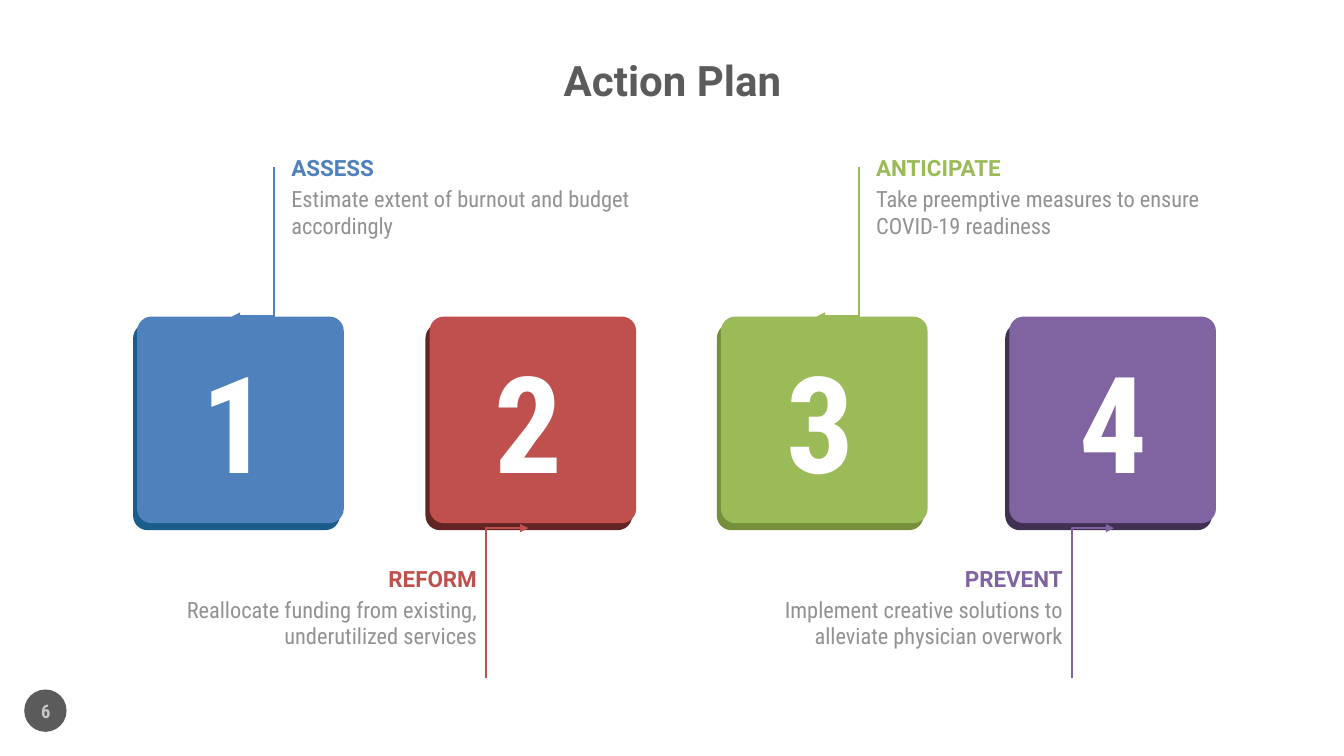
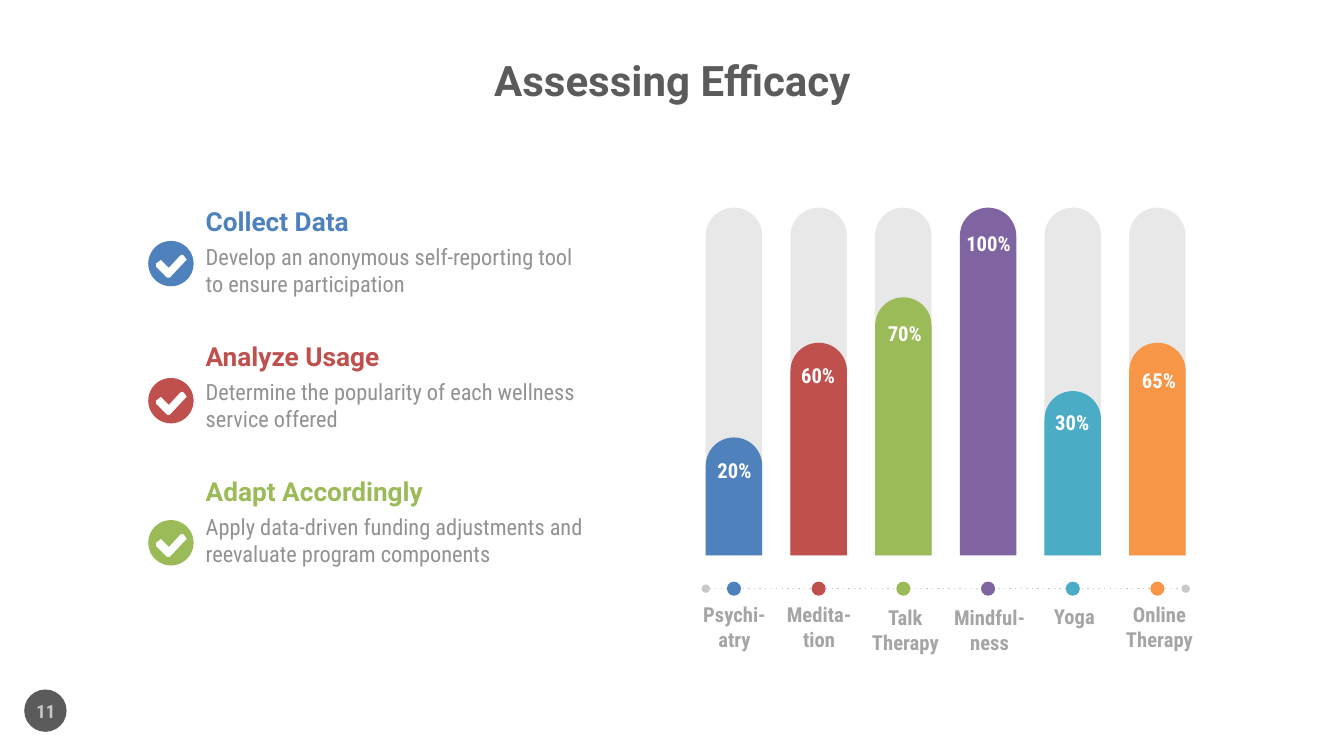
"""Builds two wellness slides: an action plan and an efficacy overview."""
from lxml.etree import SubElement
from pptx import Presentation
from pptx.dml.color import RGBColor
from pptx.enum.dml import MSO_LINE
from pptx.enum.shapes import MSO_CONNECTOR, MSO_SHAPE
from pptx.enum.text import MSO_ANCHOR, MSO_AUTO_SIZE, PP_ALIGN
from pptx.oxml.ns import qn
from pptx.util import Inches, Pt

COLORS = {
    "dark": "5B5B5B", "body": "929292", "label": "A5A5A5", "pale": "C8C8C8",
    "track": "E8E8E8", "white": "FFFFFF",
    "blue": "4F81BD", "red": "C0504D", "green": "9BBB59",
    "purple": "8064A2", "teal": "4BACC6", "orange": "F79646",
    "blue_shade": "1A5D8A", "red_shade": "632523",
    "green_shade": "768F3B", "purple_shade": "403152",
}
HEADING_FONT = "Roboto"
BODY_FONT = "Roboto Condensed"

STEPS = [
    ("blue", 1.36, 2.72, "ASSESS", 1.51,
     "Estimate extent of burnout and budget accordingly", 3.65),
    ("red", 4.26, 4.82, "REFORM", 3.37,
     "Reallocate funding from existing, underutilized services", 3.65),
    ("green", 7.15, 8.52, "ANTICIPATE", 3.33,
     "Take preemptive measures to ensure COVID-19 readiness", 3.65),
    ("purple", 10.01, 10.63, "PREVENT", 3.13,
     "Implement creative solutions to alleviate physician overwork", 3.38),
]
ACTIONS = [
    ("blue", 2.39, "Collect Data", 2.75,
     "Develop an anonymous self-reporting tool to ensure participation"),
    ("red", 3.75, "Analyze Usage", 2.75,
     "Determine the popularity of each wellness service offered"),
    ("green", 5.16, "Adapt Accordingly", 3.96,
     "Apply data-driven funding adjustments and reevaluate program components"),
]
SERVICES = [
    ("blue", 4.34, "20%", (6.92, 4.54), "Psychi-atry", (6.92, 5.97, 0.73, 0.49)),
    ("red", 3.4, "60%", (7.75, 3.6), "Medita-tion", (7.76, 5.97, 0.73, 0.49)),
    ("green", 2.95, "70%", (8.61, 3.18), "Talk Therapy", (8.56, 6, 0.84, 0.49)),
    ("purple", 2.06, "100%", (9.44, 2.29), "Mindful-ness", (9.45, 6, 0.73, 0.49)),
    ("teal", 3.88, "30%", (10.27, 4.06), "Yoga", (10.29, 5.99, 0.73, 0.25)),
    ("orange", 3.4, "65%", (11.13, 3.64), "Online Therapy", (11.08, 5.97, 0.84, 0.49)),
]
BAR_LEFT, BAR_STEP, BAR_WIDTH = 7, 0.84, 0.56
BAR_TOP, BAR_BOTTOM = 2.06, 5.51
CHECK_SIZE = 0.45
TICK_OUTLINE = [
    (0.15, -0.05), (0.13, -0.08), (0.11, -0.09), (0.09, -0.08), (-0.02, 0.04),
    (-0.09, -0.03), (-0.1, -0.04), (-0.11, -0.03), (-0.15, 0), (-0.15, 0.03),
    (-0.04, 0.14), (-0.02, 0.14), (-0.01, 0.14), (0.15, -0.03), (0.16, -0.04),
]


def rgb(color):
    """Return the named colour."""
    return RGBColor.from_string(COLORS[color])


def format_text(shape, text, size, color, font, bold, align, anchor):
    """Fill a shape with one styled paragraph and no inner margins."""
    frame = shape.text_frame
    frame.text = text
    frame.word_wrap = True
    frame.auto_size = MSO_AUTO_SIZE.NONE
    frame.vertical_anchor = anchor
    frame.margin_left = frame.margin_right = 0
    frame.margin_top = frame.margin_bottom = 0
    paragraph = frame.paragraphs[0]
    paragraph.alignment = align
    run_font = paragraph.runs[0].font
    run_font.name = font
    run_font.size = Pt(size)
    run_font.bold = bold
    run_font.color.rgb = rgb(color)
    return paragraph


def add_text(slide, box, text, size, color, font=BODY_FONT, bold=True,
             align=PP_ALIGN.CENTER, anchor=MSO_ANCHOR.TOP):
    """Add a text box; box is left, top, width and height in inches."""
    shape = slide.shapes.add_textbox(*map(Inches, box))
    format_text(shape, text, size, color, font, bold, align, anchor)


def paint(shape, color):
    """Give a shape a plain fill without outline or shadow."""
    shape.shadow.inherit = False
    shape.fill.solid()
    shape.fill.fore_color.rgb = rgb(color)
    shape.line.fill.background()


def add_block(slide, kind, box, color, adjustments=()):
    """Add a filled preset shape."""
    shape = slide.shapes.add_shape(kind, *map(Inches, box))
    for index, value in enumerate(adjustments):
        shape.adjustments[index] = value
    paint(shape, color)


def add_line(slide, kind, start, end, color, width, **ends):
    """Add a connector with optional headEnd and tailEnd types."""
    connector = slide.shapes.add_connector(kind, *map(Inches, start + end))
    connector.line.color.rgb = rgb(color)
    connector.line.width = Pt(width)
    for name, style in ends.items():
        SubElement(connector.line._get_or_add_ln(), qn(f"a:{name}"), type=style)
    SubElement(connector._element.spPr, qn("a:effectLst"))
    return connector


def add_bent_arrow(slide, start, end, color, rotation):
    """Add an arrow that runs vertically first and then turns once."""
    length, reach = abs(end[1] - start[1]), abs(end[0] - start[0])
    center_x, center_y = (start[0] + end[0]) / 2, (start[1] + end[1]) / 2
    corner = (center_x - length / 2, center_y - reach / 2)
    opposite = (center_x + length / 2, center_y + reach / 2)
    connector = add_line(slide, MSO_CONNECTOR.ELBOW, corner, opposite, color, 1.5,
                         tailEnd="triangle")
    properties = connector._element.spPr
    properties.find(qn("a:prstGeom")).set("prst", "bentConnector2")
    properties.find(qn("a:xfrm")).set("rot", str(rotation * 60000))


def add_check(slide, left, top, color):
    """Add a disc of four arcs with a tick cut out of it."""
    radius = CHECK_SIZE / 2
    quarters = [(radius, 0), (0, radius), (-radius, 0), (0, -radius), (radius, 0)]
    circle, tick = ([(Inches(left + radius + x), Inches(top + radius + y))
                     for x, y in outline] for outline in (quarters, TICK_OUTLINE))
    builder = slide.shapes.build_freeform(*circle[0])
    builder.add_line_segments(circle[1:], close=True)
    builder.move_to(*tick[0])
    builder.add_line_segments(tick[1:], close=True)
    shape = builder.convert_to_shape()
    segments = list(shape._element.iter(qn("a:lnTo")))[:4]
    for index, segment in enumerate(segments):
        arc = SubElement(segment.getparent(), qn("a:arcTo"), wR=str(Inches(radius)),
                         hR=str(Inches(radius)), stAng=str(index * 5400000),
                         swAng="5400000")
        segment.getparent().replace(segment, arc)
    paint(shape, color)


def add_slide(presentation, title, number):
    """Add a slide with the shared title and page badge."""
    slide = presentation.slides.add_slide(presentation.slide_layouts[5])
    placeholder = slide.shapes.title
    placeholder.left, placeholder.top = Inches(2.56), Inches(0.56)
    placeholder.width, placeholder.height = Inches(8.22), Inches(0.52)
    paragraph = format_text(placeholder, title, 30, "dark", HEADING_FONT, True,
                            PP_ALIGN.CENTER, MSO_ANCHOR.MIDDLE)
    paragraph.line_spacing = 0.9
    add_block(slide, MSO_SHAPE.OVAL, (0.24, 6.84, 0.42, 0.42), "dark")
    add_text(slide, (0.12, 6.85, 0.67, 0.4), number, 13.3, "pale",
             anchor=MSO_ANCHOR.MIDDLE)
    return slide


def add_tile(slide, index, left, color):
    """Add a numbered tile with its darker edge."""
    for x, y, shade in ((left - 0.04, 3.21, f"{color}_shade"), (left, 3.14, color)):
        add_block(slide, MSO_SHAPE.ROUNDED_RECTANGLE, (x, y, 2.05, 2.05), shade, [0.07])
    add_text(slide, (1.59 + 2.9 * index, 3.36, 1.5, 1.62), str(index + 1), 96, "white")


def add_callout(slide, above, line_x, heading, heading_width, body, body_width, color):
    """Add a heading, a description and the arrow to the tile."""
    if above:
        heading_left = body_left = line_x + 0.17
        top, align = 1.53, PP_ALIGN.LEFT
        start, end, rotation = (line_x, 1.66), (line_x - 0.42, 3.14), 90
    else:
        right = line_x - 0.09
        heading_left, body_left = right - heading_width, right - body_width
        top, align = 5.6, PP_ALIGN.RIGHT
        start, end, rotation = (line_x, 6.73), (line_x + 0.42, 5.24), 270
    add_text(slide, (body_left, top + 0.31, body_width, 0.54), body, 16, "body",
             bold=False, align=align)
    add_text(slide, (heading_left, top, heading_width, 0.27), heading, 16, color,
             HEADING_FONT, align=align, anchor=MSO_ANCHOR.MIDDLE)
    add_bent_arrow(slide, start, end, color, rotation)


def add_bar(slide, left, top, color):
    """Add a bar with a rounded top, standing on the common base."""
    add_block(slide, MSO_SHAPE.ROUND_2_SAME_RECTANGLE,
              (left, top, BAR_WIDTH, BAR_BOTTOM - top), color, [0.5, 0])


def add_service_bars(slide):
    """Add the service bars with their dotted axis."""
    lefts = [BAR_LEFT + BAR_STEP * index for index in range(len(SERVICES))]
    for left, service in zip(lefts, SERVICES):
        if service[1] > BAR_TOP:
            add_bar(slide, left, BAR_TOP, "track")
    axis = add_line(slide, MSO_CONNECTOR.STRAIGHT, (BAR_LEFT, 5.84),
                    (lefts[-1] + BAR_WIDTH, 5.84), "pale", 1,
                    headEnd="oval", tailEnd="oval")
    axis.line.dash_style = MSO_LINE.ROUND_DOT
    axis._element.spPr.find(".//" + qn("a:prstDash")).set("val", "dot")
    for left, (color, top, share, share_place, name, name_box) in zip(lefts, SERVICES):
        add_block(slide, MSO_SHAPE.OVAL, (left + 0.21, 5.77, 0.14, 0.14), color)
        add_text(slide, name_box, name, 14.7, "label", anchor=MSO_ANCHOR.BOTTOM)
        add_bar(slide, left, top, color)
        add_text(slide, share_place + (0.73, 0.25), share, 14.7, "white",
                 anchor=MSO_ANCHOR.BOTTOM)


def build_action_plan(presentation):
    """Build the four-step plan."""
    slide = add_slide(presentation, "Action Plan", "6")
    for index, (color, left, *_) in enumerate(STEPS):
        add_tile(slide, index, left, color)
    for index, (color, _, line_x, *texts) in enumerate(STEPS):
        add_callout(slide, index % 2 == 0, line_x, *texts, color)


def build_efficacy(presentation):
    """Build the checklist beside the service bars."""
    slide = add_slide(presentation, "Assessing Efficacy", "11")
    add_service_bars(slide)
    for index, (color, check_top, heading, heading_width, body) in enumerate(ACTIONS):
        top = 2.04 + 1.34 * index
        add_text(slide, (2.04, top, heading_width, 0.31), heading, 18.7, color,
                 HEADING_FONT, align=PP_ALIGN.LEFT)
        add_text(slide, (2.04, top + 0.37, 3.81, 0.54), body, 16, "body",
                 bold=False, align=PP_ALIGN.LEFT)
        add_check(slide, 1.47, check_top, color)


def main():
    """Create and save the presentation."""
    presentation = Presentation()
    presentation.slide_width, presentation.slide_height = Inches(13.33), Inches(7.5)
    build_action_plan(presentation)
    build_efficacy(presentation)
    presentation.save("out.pptx")


main()
